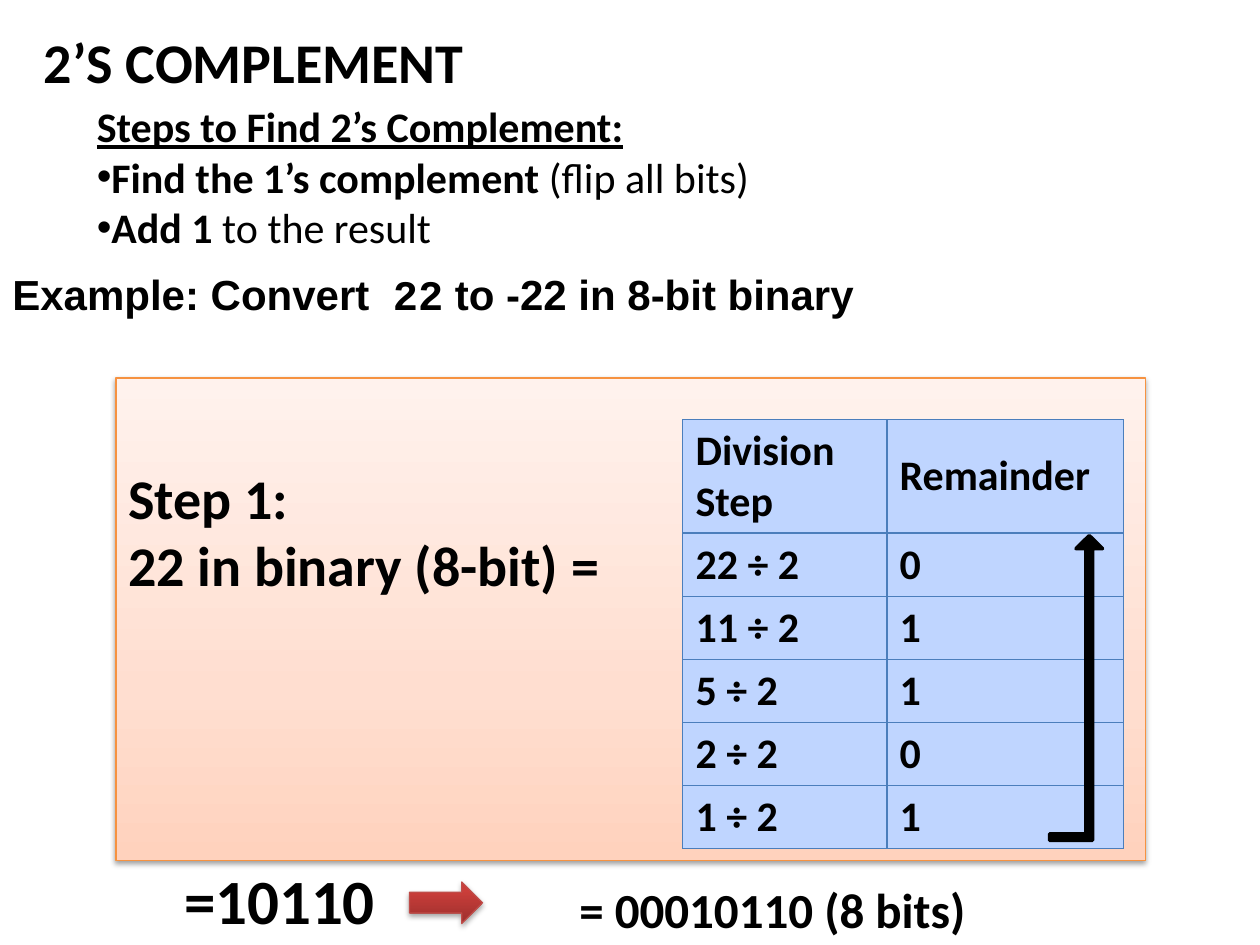
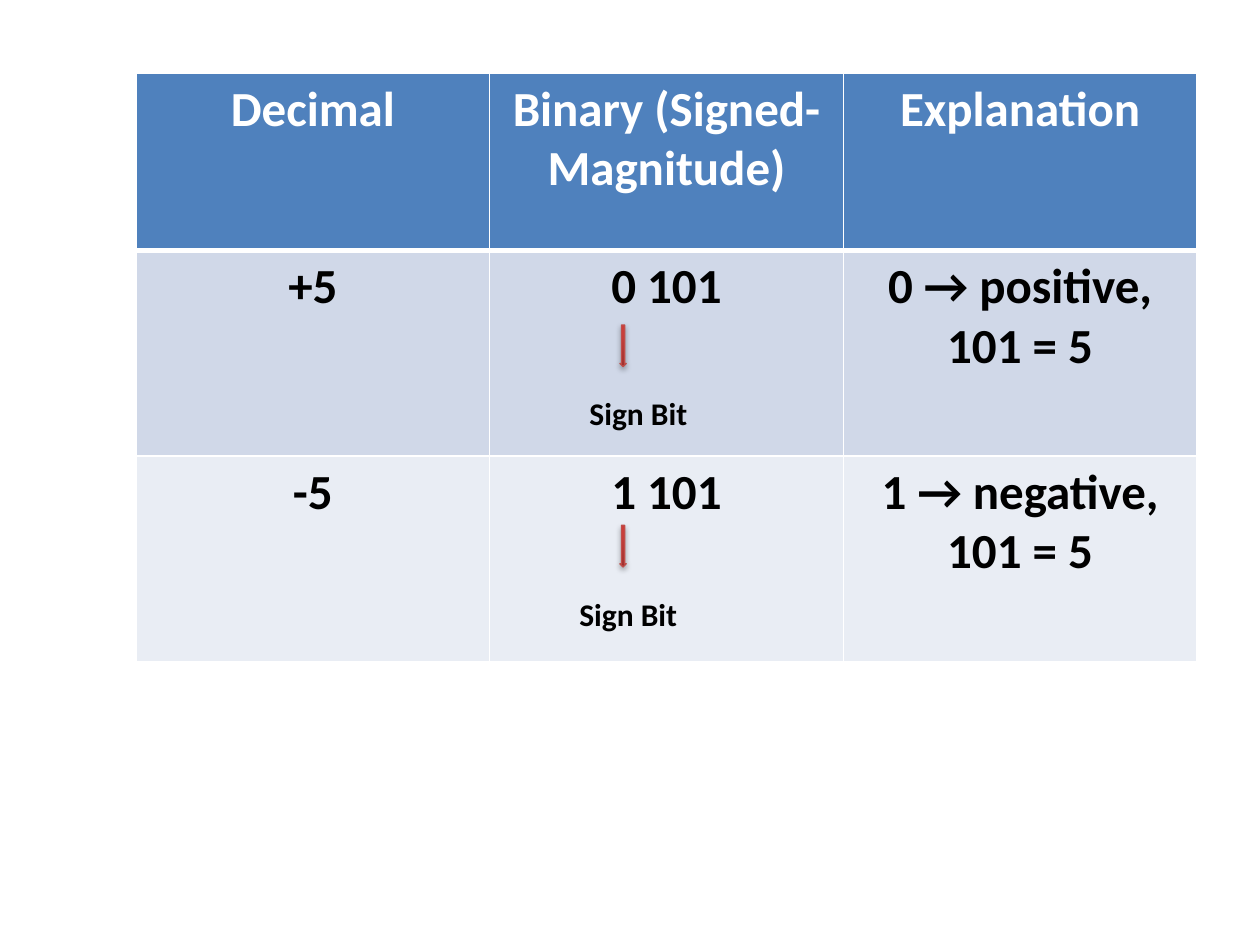
from lxml.etree import SubElement
from pptx import Presentation
from pptx.dml.color import RGBColor
from pptx.enum.shapes import MSO_SHAPE
from pptx.enum.text import MSO_ANCHOR, PP_ALIGN
from pptx.oxml.ns import qn
from pptx.util import Inches, Pt

BLACK = RGBColor(0x00, 0x00, 0x00)
WHITE = RGBColor(0xFF, 0xFF, 0xFF)
ORANGE_LINE = RGBColor(0xF6, 0x92, 0x40)
RED_LINE = RGBColor(0xBF, 0x4C, 0x48)
GRID_BLUE = RGBColor(0x4B, 0x7E, 0xBC)
DIVISION_BLUE = RGBColor(0xBF, 0xD5, 0xFF)
HEADER_BLUE = RGBColor(0x4F, 0x81, 0xBD)
BAND_DARK = RGBColor(0xD0, 0xD8, 0xE8)
BAND_LIGHT = RGBColor(0xE9, 0xED, 0xF4)
PEACH_STOPS = [(0, "FFD2BD"), (35, "FFDED0"), (100, "FFF2ED")]
RED_STOPS = [(0, "9C2F2D"), (80, "CB3E3A"), (100, "CE3B37")]

FONT = "Calibri"

# Each run is (text, bold, underlined, font)
TITLE = [[("2’S COMPLEMENT", True, False, FONT)]]
STEPS = [
    [("Steps to Find 2’s Complement:", True, True, FONT)],
    [("Find the 1’s complement", True, False, FONT), (" (flip all bits)", False, False, FONT)],
    [("Add 1", True, False, FONT), (" to the result", False, False, FONT)],
]
EXAMPLE = [[
    ("Example: Convert  ", True, False, "Arial"),
    ("22", True, False, "Courier New"),
    (" to -22 in 8-bit binary", True, False, "Arial"),
]]
STEP_ONE = [
    [("Step 1:", True, False, FONT)],
    [("22 in binary (8-bit) =", True, False, FONT)],
]
BINARY = [[(" =10110", True, False, FONT)]]
PADDED_BINARY = [[("= 00010110 (8 bits)", True, False, FONT)]]
SIGN_BIT = [[("Sign Bit", True, False, FONT)]]

DIVISION_ROWS = [
    ("Division Step", "Remainder"),
    ("22 ÷ 2", "0"),
    ("11 ÷ 2", "1"),
    ("5 ÷ 2", "1"),
    ("2 ÷ 2", "0"),
    ("1 ÷ 2", "1"),
]
SIGNED_ROWS = [
    ("Decimal", "Binary (Signed-Magnitude)", "Explanation"),
    ("+5", "0 101", "0 → positive, 101 = 5"),
    ("-5", "1 101", "1 → negative, 101 = 5"),
]
SIGN_ARROW_TOPS = [2.58, 4.17]
SIGN_LABELS = [(4.58, 3.08), (4.5, 4.67)]


def add_run(paragraph, text, size, color=BLACK, bold=True, underline=False, font=FONT):
    run = paragraph.add_run()
    run.text = text
    run.font.name = font
    run.font.size = Pt(size)
    run.font.bold = bold
    run.font.underline = underline
    run.font.color.rgb = color


def write_paragraphs(frame, paragraphs, size, bulleted_from=None):
    frame.word_wrap = True
    for index, runs in enumerate(paragraphs):
        paragraph = frame.add_paragraph() if index else frame.paragraphs[0]
        paragraph.alignment = PP_ALIGN.LEFT
        if bulleted_from is not None and index >= bulleted_from:
            properties = paragraph._p.get_or_add_pPr()
            SubElement(properties, qn("a:buFont"), typeface="Arial")
            SubElement(properties, qn("a:buChar"), char="•")
        for text, bold, underline, font in runs:
            add_run(paragraph, text, size, bold=bold, underline=underline, font=font)


def add_text(slide, box, paragraphs, size, bulleted_from=None):
    shape = slide.shapes.add_textbox(*map(Inches, box))
    write_paragraphs(shape.text_frame, paragraphs, size, bulleted_from)


def add_glossy_shape(slide, kind, box, stops, line_color, shadow_opacity):
    """Add a shape with a bottom-to-top gradient and a soft shadow below it."""
    shape = slide.shapes.add_shape(kind, *map(Inches, box))
    shape.fill.gradient()
    shape.fill.gradient_angle = 90
    properties = shape._element.spPr
    stop_list = properties.find(qn("a:gradFill")).find(qn("a:gsLst"))
    for stop in list(stop_list):
        stop_list.remove(stop)
    for position, color in stops:
        stop = SubElement(stop_list, qn("a:gs"), pos=str(position * 1000))
        SubElement(stop, qn("a:srgbClr"), val=color)
    shape.line.color.rgb = line_color
    shape.line.width = Pt(0.75)
    shape.shadow.inherit = False
    shadow = SubElement(
        properties.find(qn("a:effectLst")), qn("a:outerShdw"),
        blurRad=str(Pt(3.1)), dist=str(Pt(1.7)), dir="5400000", rotWithShape="0",
    )
    color = SubElement(shadow, qn("a:srgbClr"), val=str(BLACK))
    SubElement(color, qn("a:alpha"), val=str(shadow_opacity * 1000))
    return shape


def add_red_arrow(slide, kind, box):
    return add_glossy_shape(slide, kind, box, RED_STOPS, RED_LINE, 35)


def set_borders(cell, color, widths):
    """Draw the left, right, top and bottom borders, with widths in points."""
    properties = cell._tc.get_or_add_tcPr()
    for side, width in zip("LRTB", widths):
        line = SubElement(properties, qn(f"a:ln{side}"), w=str(Pt(width)))
        fill = SubElement(line, qn("a:solidFill"))
        SubElement(fill, qn("a:srgbClr"), val=str(color))


def add_grid(slide, left, top, rows, column_widths, row_heights, size, fills,
             border, border_width, header_rule, header_color, alignment, anchor):
    graphic = slide.shapes.add_table(
        len(rows), len(column_widths), Inches(left), Inches(top),
        Inches(sum(column_widths)), Inches(sum(row_heights)),
    )
    table = graphic.table
    for column, width in zip(table.columns, column_widths):
        column.width = Inches(width)
    for row_index, values in enumerate(rows):
        table.rows[row_index].height = Inches(row_heights[row_index])
        top_width = header_rule if row_index == 1 else border_width
        bottom_width = header_rule if row_index == 0 else border_width
        for column_index, value in enumerate(values):
            cell = table.cell(row_index, column_index)
            set_borders(cell, border, (border_width, border_width, top_width, bottom_width))
            cell.fill.solid()
            cell.fill.fore_color.rgb = fills[row_index]
            cell.vertical_anchor = anchor
            paragraph = cell.text_frame.paragraphs[0]
            paragraph.alignment = alignment
            add_run(paragraph, value, size, BLACK if row_index else header_color)


def build_complement_slide(slide):
    add_text(slide, (0.25, 0.17, 4.25, 0.64), TITLE, 32)
    add_text(slide, (0.67, 0.75, 7.5, 1.31), STEPS, 24, bulleted_from=1)
    add_text(slide, (0, 2.08, 8.42, 0.81), EXAMPLE, 24)

    panel = add_glossy_shape(slide, MSO_SHAPE.RECTANGLE, (0.92, 3, 8.17, 3.83),
                             PEACH_STOPS, ORANGE_LINE, 38)
    panel.text_frame.vertical_anchor = MSO_ANCHOR.TOP
    panel.text_frame.margin_top = Inches(0.68)
    write_paragraphs(panel.text_frame, STEP_ONE, 32)

    add_grid(slide, 5.42, 3.33, DIVISION_ROWS, [1.62, 1.88], [0.9] + [0.5] * 5, 24,
             [DIVISION_BLUE] * 6, GRID_BLUE, 0.75, 0.75, BLACK,
             PP_ALIGN.LEFT, MSO_ANCHOR.MIDDLE)

    reading_arrow = slide.shapes.add_shape(
        MSO_SHAPE.BENT_UP_ARROW, *map(Inches, (8.33, 4.25, 0.42, 2.42)))
    for index, value in enumerate((0.125, 0.25, 0.25)):
        reading_arrow.adjustments[index] = value
    reading_arrow.fill.solid()
    reading_arrow.fill.fore_color.rgb = BLACK
    reading_arrow.line.color.rgb = BLACK
    reading_arrow.line.width = Pt(2)
    reading_arrow.shadow.inherit = False

    add_text(slide, (1.25, 6.79, 2.67, 0.71), BINARY, 36)
    add_red_arrow(slide, MSO_SHAPE.RIGHT_ARROW, (3.25, 7, 0.58, 0.33))
    add_text(slide, (4.5, 6.93, 3.31, 0.57), PADDED_BINARY, 28)


def build_signed_magnitude_slide(slide):
    add_grid(slide, 1.08, 0.58, SIGNED_ROWS, [8.42 / 3] * 3, [1.41, 1.63, 1.63], 28,
             [HEADER_BLUE, BAND_DARK, BAND_LIGHT], WHITE, 1, 3, WHITE,
             PP_ALIGN.CENTER, MSO_ANCHOR.TOP)
    for top in SIGN_ARROW_TOPS:
        add_red_arrow(slide, MSO_SHAPE.DOWN_ARROW, (4.92, top, 0.05, 0.33))
    for left, top in SIGN_LABELS:
        add_text(slide, (left, top, 1, 0.71), SIGN_BIT, 18)


def main():
    presentation = Presentation()
    presentation.slide_width = Inches(10)
    presentation.slide_height = Inches(7.5)
    blank = presentation.slide_layouts[6]
    for build in (build_complement_slide, build_signed_magnitude_slide):
        build(presentation.slides.add_slide(blank))
    presentation.save("out.pptx")


if __name__ == "__main__":
    main()
